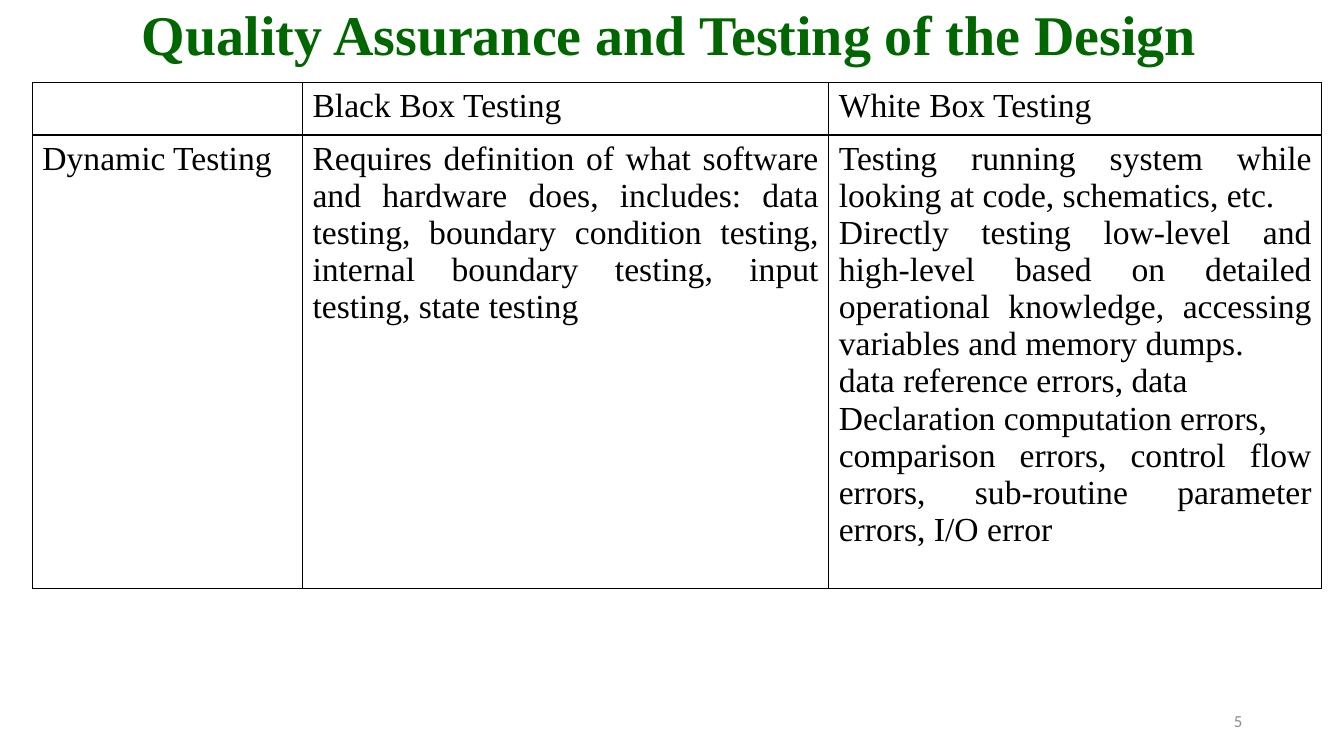
import pptx
import pptx.util
import pptx.dml.color
import pptx.enum.text
import pptx.oxml.ns
import lxml.etree

Inches, Pt = pptx.util.Inches, pptx.util.Pt
RGBColor = pptx.dml.color.RGBColor
ALIGN = pptx.enum.text.PP_ALIGN
ANCHOR = pptx.enum.text.MSO_ANCHOR
qn = pptx.oxml.ns.qn

# Content
TITLE = "Quality Assurance and Testing of the Design"
PAGE = "5"
ROWS = [
    [[], ["Black Box Testing"], ["White Box Testing"]],
    [
        ["Dynamic Testing"],
        ["Requires definition of what software and hardware does, includes: "
         "data testing, boundary condition testing, internal boundary testing, "
         "input testing, state testing"],
        ["Testing running system while looking at code, schematics, etc.",
         "Directly testing low-level and high-level based on detailed "
         "operational knowledge, accessing variables and memory dumps.",
         "data reference errors, data",
         "Declaration computation errors,",
         "comparison errors, control flow errors, sub-routine parameter "
         "errors, I/O error"],
    ],
]

# Layout in inches
SLIDE_W, SLIDE_H = 13.33, 7.5
TITLE_BOX = (0.27, -0.03, 12.73, 0.8)
PAGE_BOX = (9.42, 6.95, 3, 0.4)
TABLE_LEFT, TABLE_TOP = 0.32, 0.82
COL_WIDTHS = (2.68, 5.22, 4.89)
ROW_HEIGHTS = (0.52, 4.16)

GREEN = RGBColor(0x00, 0x66, 0x00)
GREY = RGBColor(0x8C, 0x8C, 0x8C)
BLACK = RGBColor(0x00, 0x00, 0x00)
SERIF = "Times New Roman"


def write(tf, *lines, size=24, font=SERIF, color=BLACK, bold=False,
          align=ALIGN.JUSTIFY, spacing=None):
    tf.word_wrap = True
    for i, line in enumerate(lines):
        p = tf.add_paragraph() if i else tf.paragraphs[0]
        p.alignment = align
        if spacing:
            p.line_spacing = spacing
        r = p.add_run()
        r.text = line
        r.font.size, r.font.name, r.font.bold = Pt(size), font, bold
        r.font.color.rgb = color


def add_text(slide, box, text, **style):
    tf = slide.shapes.add_textbox(*map(Inches, box)).text_frame
    tf.vertical_anchor = ANCHOR.MIDDLE
    write(tf, text, **style)


def add_borders(cell, color=BLACK, width=1):
    tcPr = cell._tc.get_or_add_tcPr()
    for i, side in enumerate(("a:lnL", "a:lnR", "a:lnT", "a:lnB")):
        ln = lxml.etree.Element(qn(side), w=str(Pt(width)))
        fill = lxml.etree.SubElement(ln, qn("a:solidFill"))
        lxml.etree.SubElement(fill, qn("a:srgbClr"), val=str(color))
        tcPr.insert(i, ln)


def main():
    prs = pptx.Presentation()
    prs.slide_width, prs.slide_height = Inches(SLIDE_W), Inches(SLIDE_H)
    slide = prs.slides.add_slide(prs.slide_layouts[6])

    # Title and page number
    add_text(slide, TITLE_BOX, TITLE, size=40, color=GREEN, bold=True,
             align=ALIGN.CENTER, spacing=0.9)
    add_text(slide, PAGE_BOX, PAGE, size=12, font="Calibri", color=GREY,
             align=ALIGN.RIGHT)

    # Comparison table
    table = slide.shapes.add_table(
        len(ROWS), len(COL_WIDTHS), Inches(TABLE_LEFT), Inches(TABLE_TOP),
        Inches(sum(COL_WIDTHS)), Inches(sum(ROW_HEIGHTS))).table
    table.first_row = table.horz_banding = False
    for col, width in zip(table.columns, COL_WIDTHS):
        col.width = Inches(width)
    for row, height, texts in zip(table.rows, ROW_HEIGHTS, ROWS):
        row.height = Inches(height)
        for c, (cell, lines) in enumerate(zip(row.cells, texts)):
            cell.fill.background()
            add_borders(cell)
            write(cell.text_frame, *lines,
                  align=ALIGN.JUSTIFY if c else ALIGN.LEFT)

    prs.save("out.pptx")


if __name__ == "__main__":
    main()
